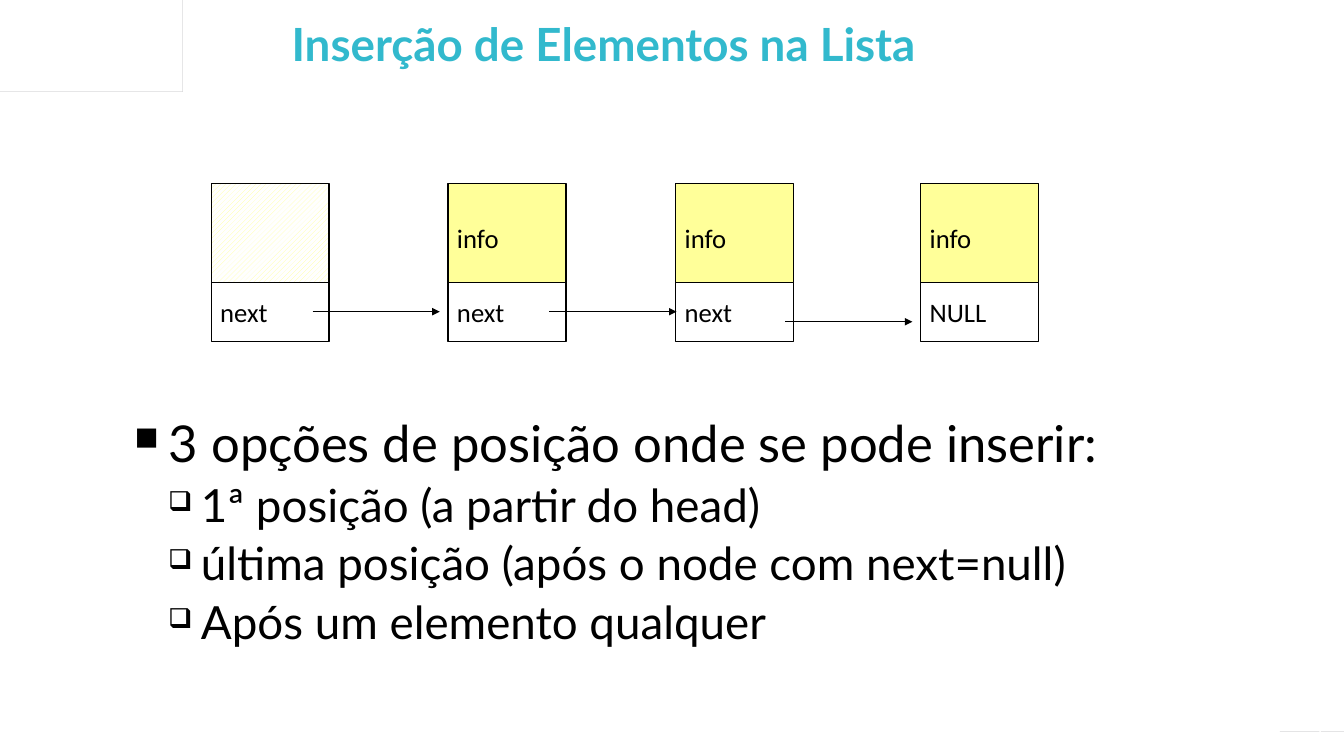
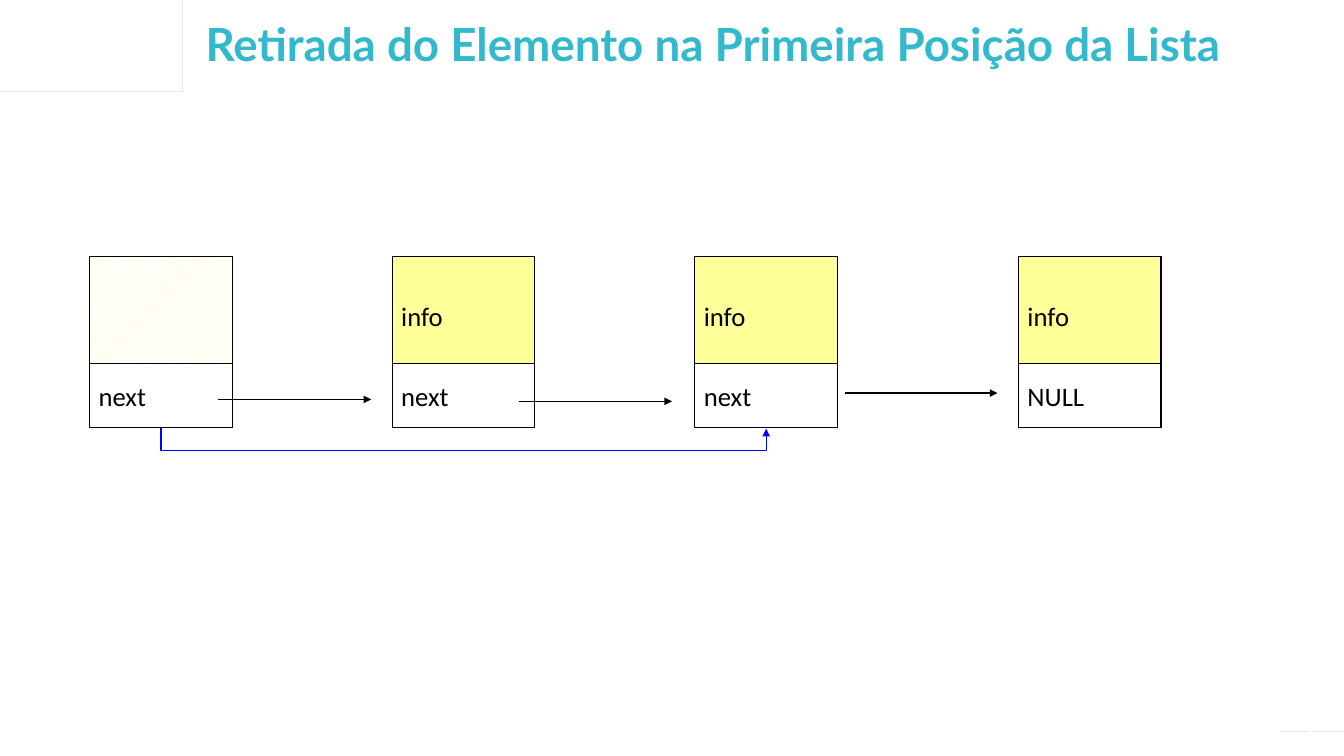
"""Build two slides on inserting into and removing from a linked list."""
from dataclasses import dataclass

from lxml.etree import SubElement
from pptx import Presentation
from pptx.dml.color import RGBColor
from pptx.enum.dml import MSO_PATTERN
from pptx.enum.shapes import MSO_CONNECTOR, MSO_SHAPE
from pptx.enum.text import MSO_ANCHOR, PP_ALIGN
from pptx.oxml.ns import qn
from pptx.util import Inches, Pt


@dataclass(frozen=True)
class Theme:
    title: str = "32B9CD"
    ink: str = "000000"
    paper: str = "FFFFFF"
    node: str = "FFFF99"
    shortcut: str = "0000FF"
    corner: str = "292C34"
    frame: str = "3B3D42"
    heading_font: str = "Lato"
    node_font: str = "Calibri"
    title_size: int = 36
    node_size: int = 21
    page_size: int = 10
    line: int = 1


T = Theme()
WIDTH, HEIGHT = 14.7, 8.27

SLIDES = [
    dict(
        title="Inserção de Elementos na Lista", title_left=3.09, page="7",
        list=dict(lefts=(2.31, 4.9, 7.39, 10.07), top=2.01, width=1.29,
                  info_height=1.19, link_offset=1.08, link_height=0.65,
                  arrow_length=1.39,
                  arrows=((1.11, 1.4), (1.11, 1.4), (1.2, 1.51))),
        bullets=[(0, "3 opções de posição onde se pode inserir:"),
                 (1, "1ª posição (a partir do head)"),
                 (1, "última posição (após o node com next=null)"),
                 (1, "Após um elemento qualquer")],
    ),
    dict(
        title="Retirada do Elemento na Primeira Posição da Lista",
        title_left=2.15, page="12",
        list=dict(lefts=(0.98, 4.29, 7.6, 11.14), top=2.81, width=1.56,
                  info_height=1.29, link_offset=1.17, link_height=0.7,
                  arrow_length=1.67,
                  arrows=((1.41, 1.56), (1.39, 1.58), (1.64, 1.49))),
        shortcut=(0, 2),
    ),
]
INFO = ("", "info", "info", "info")
LINKS = ("next", "next", "next", "NULL")
LEVELS = (dict(size=40, margin=0.38, indent=-0.38, char="■", share=65),
          dict(size=36, margin=0.73, indent=-0.36, char="❑", share=60))


def rgb(value):
    return RGBColor.from_string(value)


def bezier(start, pull_a, pull_b, end, steps=16):
    points = []
    for i in range(steps + 1):
        t = i / steps
        weights = ((1 - t) ** 3, 3 * t * (1 - t) ** 2, 3 * t * t * (1 - t), t ** 3)
        points.append(tuple(sum(w * p[axis] for w, p in
                                zip(weights, (start, pull_a, pull_b, end)))
                            for axis in (0, 1)))
    return points


CORNER = [(WIDTH, 7.6),
          *bezier((14.25, 7.71), (13.97, 7.78), (13.79, 7.95), (13.79, 8.12)),
          (13.79, HEIGHT), (WIDTH, HEIGHT)]
FRAME = [(0, 1.46), (1.51, 0.9),
         *bezier((1.54, 0.9), (1.77, 0.82), (1.92, 0.59), (1.92, 0.33)),
         (1.92, 0), (1.88, 0), (1.88, 0.14), (1.51, 0), (1.48, 0), (1.88, 0.15),
         *bezier((1.88, 0.33), (1.88, 0.57), (1.74, 0.78), (1.54, 0.86)),
         (1.52, 0.87), (1.51, 0.89), (0, 1.45)]


def add_outline(s, points, color):
    builder = s.shapes.build_freeform(*points[0], scale=Inches(1))
    builder.add_line_segments(points[1:], close=True)
    sp = builder.convert_to_shape()
    sp.shadow.inherit = False
    sp.fill.solid()
    sp.fill.fore_color.rgb = rgb(color)
    sp.line.fill.background()


def set_frame(tf, margins, anchor):
    values = dict(zip(("margin_left", "margin_top", "margin_right", "margin_bottom"),
                      (Inches(m) for m in margins)))
    values.update(word_wrap=True, vertical_anchor=anchor)
    for name, value in values.items():
        setattr(tf, name, value)


def write(p, text, font, size, color, bold=False):
    r = p.add_run()
    r.text = text
    for name, value in dict(name=font, size=Pt(size), bold=bold).items():
        setattr(r.font, name, value)
    r.font.color.rgb = rgb(color)


def add_text(s, box, margins=(0.1, 0.05, 0.1, 0.05), anchor=MSO_ANCHOR.TOP):
    tf = s.shapes.add_textbox(*(Inches(v) for v in box)).text_frame
    set_frame(tf, margins, anchor)
    return tf


def add_base(s, title, left, page):
    add_outline(s, CORNER, T.corner)
    add_outline(s, FRAME, T.frame)
    tf = add_text(s, (left, 0.12, 14.18 - left, 0.84))
    write(tf.paragraphs[0], title, T.heading_font, T.title_size, T.title, True)
    tf = add_text(s, (13.79, 7.91, 0.69, 0.23), (0.02, 0.01, 0.02, 0.01),
                  MSO_ANCHOR.MIDDLE)
    tf.paragraphs[0].alignment = PP_ALIGN.RIGHT
    write(tf.paragraphs[0], page, T.heading_font, T.page_size, T.paper, True)


def add_cell(s, box, text, color):
    sp = s.shapes.add_shape(MSO_SHAPE.RECTANGLE, *(Inches(v) for v in box))
    sp.shadow.inherit = False
    sp.line.color.rgb = rgb(T.ink)
    sp.line.width = Pt(T.line)
    if text:
        sp.fill.solid()
        sp.fill.fore_color.rgb = rgb(color)
        set_frame(sp.text_frame, (0.1, 0.05, 0.1, 0.05), MSO_ANCHOR.MIDDLE)
        p = sp.text_frame.paragraphs[0]
        p.alignment = PP_ALIGN.LEFT
        write(p, text, T.node_font, T.node_size, T.ink)
    else:
        sp.fill.patterned()
        sp.fill.pattern = MSO_PATTERN.WIDE_UPWARD_DIAGONAL
        sp.fill.fore_color.rgb = rgb(color)
        sp.fill.back_color.rgb = rgb(T.paper)


def add_arrow(s, kind, ends, color):
    c = s.shapes.add_connector(kind, *(Inches(v) for v in ends))
    c.line.color.rgb = rgb(color)
    c.line.width = Pt(T.line)
    SubElement(c.line._get_or_add_ln(), qn("a:tailEnd"), type="triangle")
    SubElement(c._element.spPr, qn("a:effectLst"))
    return c


def add_list(s, lefts, top, width, info_height, link_offset, link_height,
             arrow_length, arrows):
    for left, info, link in zip(lefts, INFO, LINKS):
        add_cell(s, (left, top, width, info_height), info, T.node)
        add_cell(s, (left, top + link_offset, width, link_height), link, T.paper)
    for left, (dx, dy) in zip(lefts, arrows):
        x, y = left + dx, top + dy
        add_arrow(s, MSO_CONNECTOR.STRAIGHT, (x, y, x + arrow_length, y), T.ink)


def add_shortcut(s, nodes, source, target, drop=0.25, rise=0.01):
    """Draw an elbow below the list, turned so that its middle leg is level."""
    start, end = (nodes["lefts"][i] + nodes["width"] / 2 for i in (source, target))
    y = nodes["top"] + nodes["link_offset"] + nodes["link_height"]
    center, span = (start + end) / 2, end - start
    c = add_arrow(s, MSO_CONNECTOR.ELBOW,
                  (center - rise / 2, y + rise / 2 - span / 2,
                   center + rise / 2, y + rise / 2 + span / 2), T.shortcut)
    xfrm = c._element.spPr.find(qn("a:xfrm"))
    for name, value in dict(rot=str(270 * 60000), flipH="1").items():
        xfrm.set(name, value)
    guides = c._element.spPr.find(qn("a:prstGeom")).get_or_add_avLst()
    SubElement(guides, qn("a:gd"), name="adj1",
               fmla=f"val {round(drop / rise * 100000)}")


def add_bullets(s, bullets):
    tf = add_text(s, (1.37, 4.53, 12.42, 3.23))
    for i, (level, text) in enumerate(bullets):
        style = LEVELS[level]
        p = tf.add_paragraph() if i else tf.paragraphs[0]
        for name, value in dict(level=level, line_spacing=0.9,
                                space_before=Pt(style["size"] * 0.2)).items():
            setattr(p, name, value)
        pPr = p._p.get_or_add_pPr()
        pPr.set("marL", str(Inches(style["margin"])))
        pPr.set("indent", str(Inches(style["indent"])))
        SubElement(SubElement(pPr, qn("a:buClr")), qn("a:srgbClr"), val=T.ink)
        SubElement(pPr, qn("a:buSzPct"), val=str(style["share"] * 1000))
        SubElement(pPr, qn("a:buChar"), char=style["char"])
        write(p, text, T.heading_font, style["size"], T.ink)


prs = Presentation()
prs.slide_width, prs.slide_height = Inches(WIDTH), Inches(HEIGHT)
for content in SLIDES:
    s = prs.slides.add_slide(prs.slide_layouts[6])
    add_base(s, content["title"], content["title_left"], content["page"])
    add_list(s, **content["list"])
    if "shortcut" in content:
        add_shortcut(s, content["list"], *content["shortcut"])
    if "bullets" in content:
        add_bullets(s, content["bullets"])
prs.save("out.pptx")
